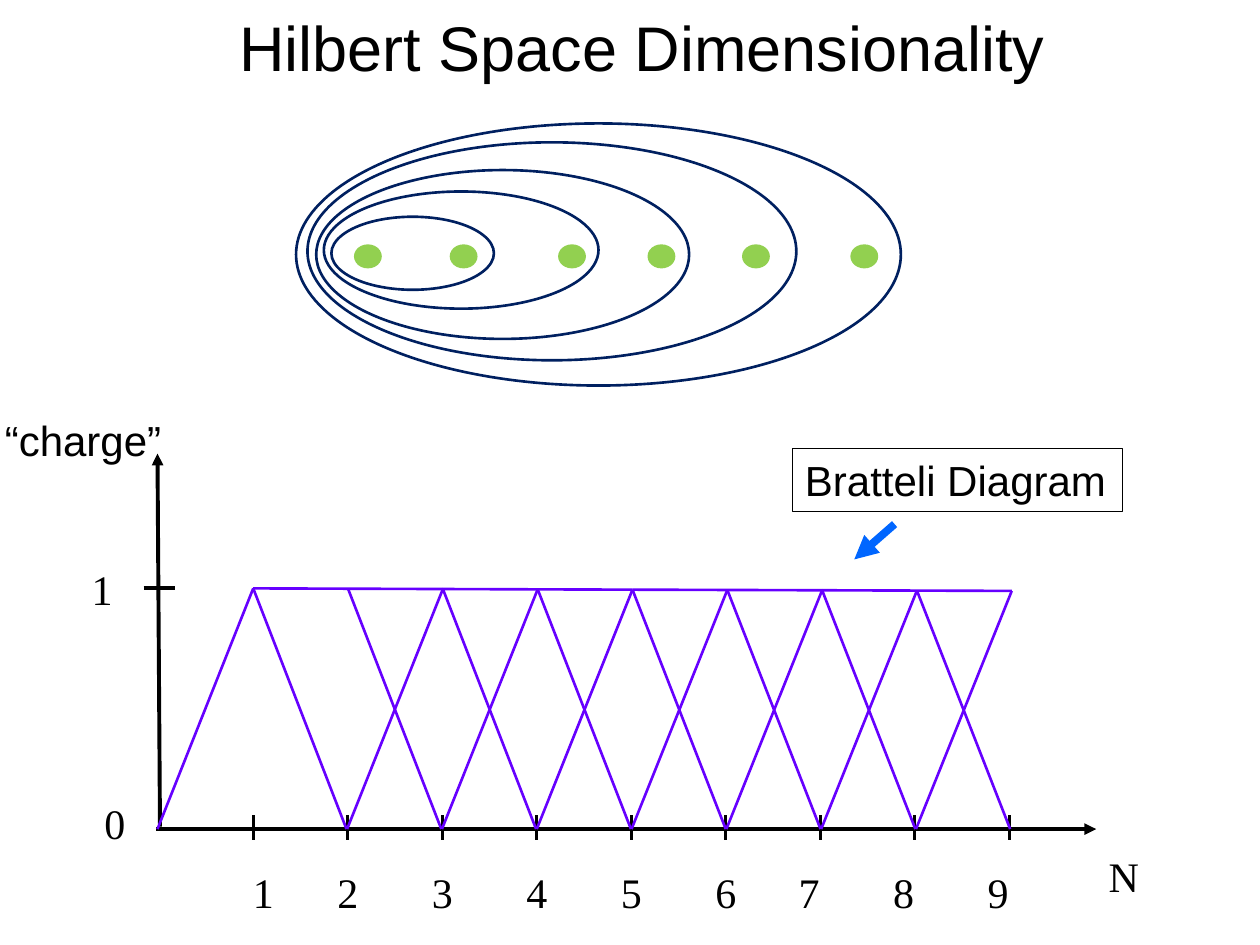
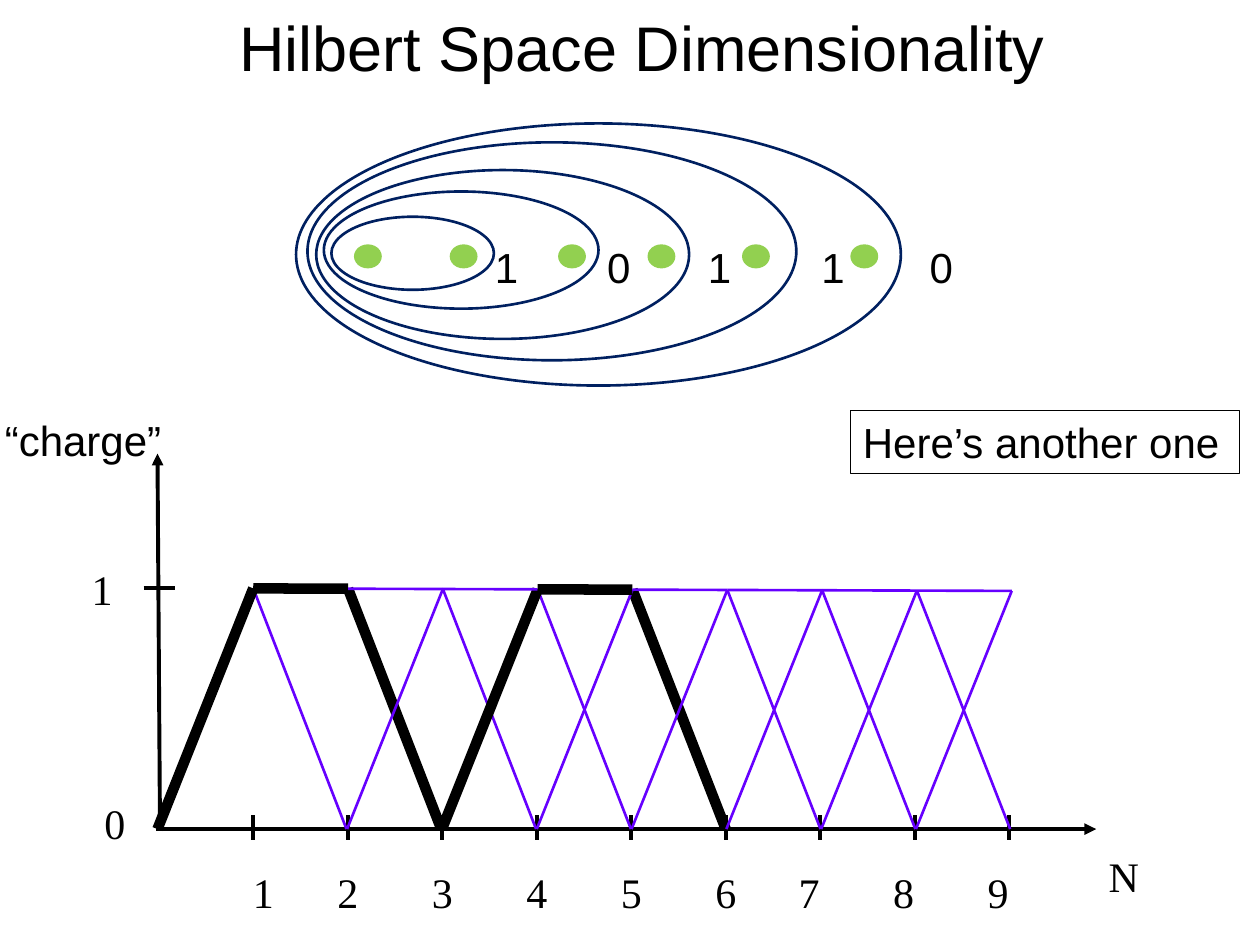
from dataclasses import dataclass

from lxml.etree import SubElement
from pptx import Presentation
from pptx.dml.color import RGBColor
from pptx.enum.shapes import MSO_CONNECTOR, MSO_SHAPE
from pptx.enum.text import MSO_ANCHOR, MSO_AUTO_SIZE, PP_ALIGN
from pptx.oxml.ns import qn
from pptx.util import Inches, Pt


@dataclass(frozen=True)
class Theme:
    ink: str = "000000"
    edge: str = "6600FF"
    ring: str = "002060"
    dot: str = "92D050"
    arrow: str = "0066FF"
    sans: str = "Arial"
    serif: str = "Times New Roman"
    title: int = 36
    text: int = 24
    thin: float = 1.5
    axis: float = 2.25
    bold: float = 6


# Lattice of the diagram: column 1 starts at LEFT, column 9 ends SPAN later
LEFT, SPAN, COLS = 2.01, 6.02, 9
TOP, BASE = 4.67, 6.58
RUN = 0.75
DIGITS = (0.67, 1.42, 2.17, 2.92, 3.67, 4.33, 5.08, 5.83)
DOTS = (2.82, 3.58, 4.44, 5.15, 5.9, 6.76)
RINGS = (
    (2.63, 1.72, 1.29, 0.58),
    (2.57, 1.52, 2.18, 0.93),
    (2.35, 0.98, 4.8, 2.08),
    (2.44, 1.13, 3.88, 1.73),
    (2.51, 1.35, 2.96, 1.34),
)


def node(col):
    """Upper lattice point of a column; the row sinks slightly to the right."""
    part = (col - 1) / (COLS - 1)
    return LEFT + SPAN * part, TOP + 0.02 * part


class Deck:
    def __init__(self, theme):
        self.theme = theme
        self.prs = Presentation()
        self.prs.slide_width, self.prs.slide_height = Inches(10), Inches(7.5)
        self.slide = None

    def start(self, title):
        self.slide = self.prs.slides.add_slide(self.prs.slide_layouts[5])
        head = self.slide.shapes.title
        head.left, head.top = Inches(1.77), Inches(0.01)
        head.width, head.height = Inches(6.65), Inches(0.71)
        self.fill_text(head.text_frame, title, self.theme.sans, self.theme.title)
        head.text_frame.vertical_anchor = MSO_ANCHOR.MIDDLE
        head.text_frame.paragraphs[0].alignment = PP_ALIGN.CENTER

    def fill_text(self, frame, text, face, size):
        frame.word_wrap = False
        frame.text = text
        for run in frame.paragraphs[0].runs:
            run.font.name, run.font.size = face, Pt(size)
            run.font.color.rgb = RGBColor.from_string(self.theme.ink)

    def group(self):
        return self.slide.shapes.add_group_shape()

    def label(self, text, x, y, w, h=0.5, face=None, home=None, frame=False):
        shapes = (home or self.slide).shapes
        box = shapes.add_textbox(Inches(x), Inches(y), Inches(w), Inches(h))
        self.fill_text(box.text_frame, text, face or self.theme.sans, self.theme.text)
        box.text_frame.auto_size = MSO_AUTO_SIZE.SHAPE_TO_FIT_TEXT
        if frame:
            box.line.color.rgb = RGBColor.from_string(self.theme.ink)
            box.line.width = Pt(0.75)
        return box

    def line(self, start, end, color=None, width=None, arrow=False):
        spots = [Inches(v) for v in (*start, *end)]
        line = self.slide.shapes.add_connector(MSO_CONNECTOR.STRAIGHT, *spots)
        line.line.color.rgb = RGBColor.from_string(color or self.theme.ink)
        line.line.width = Pt(width or self.theme.axis)
        props = line._element.spPr
        if arrow:
            SubElement(props.find(qn("a:ln")), qn("a:tailEnd"), type="triangle")
        SubElement(props, qn("a:effectLst"))

    def oval(self, home, x, y, w, h, color, solid=False):
        oval = home.shapes.add_shape(
            MSO_SHAPE.OVAL, Inches(x), Inches(y), Inches(w), Inches(h))
        oval.shadow.inherit = False
        oval.line.color.rgb = RGBColor.from_string(color)
        oval.line.width = Pt(self.theme.thin)
        if solid:
            oval.fill.solid()
            oval.fill.fore_color.rgb = RGBColor.from_string(color)
        else:
            oval.fill.background()

    def rings(self):
        home = self.group()
        for x in DOTS:
            self.oval(home, x, 1.95, 0.2, 0.17, self.theme.dot, solid=True)
        for ring in RINGS:
            self.oval(home, *ring, self.theme.ring)

    def axes(self, width):
        serif = self.theme.serif
        self.line((1.24, BASE), (8.7, BASE), arrow=True)
        self.line((1.27, 6.56), (1.25, 3.6), arrow=True)
        self.line((1.14, TOP), (1.39, TOP))
        for i in range(COLS):
            x = LEFT + RUN * i
            self.line((x, 6.47), (x, 6.67), width=width)
        self.label("N", 8.7, 6.7, 0.44, face=serif)
        self.label("0", 0.73, 6.28, 0.37, face=serif)
        self.label("1", 0.63, 4.42, 0.37, face=serif)
        self.label("“charge”", -0.06, 3.24, 1.46)

        # Column numbers sit on tab stops
        numbers = "\t".join(str(i + 1) for i in range(COLS))
        row = self.label(numbers, 1.91, 6.83, 6.2, face=serif)
        row.text_frame.word_wrap = True
        para = row.text_frame.paragraphs[0]
        stops = SubElement(para._p.get_or_add_pPr(), qn("a:tabLst"))
        for stop in DIGITS:
            SubElement(stops, qn("a:tab"), pos=str(Inches(stop)), algn="l")

    def lattice(self, flats, route=()):
        """Draw all edges; those on the route of charges are bold."""
        steps = {(i, *pair) for i, pair in enumerate(zip(route, route[1:]))}

        def edge(start, end, step):
            if step in steps:
                self.line(start, end, width=self.theme.bold)
            else:
                self.line(start, end, self.theme.edge, self.theme.thin)

        for col in range(1, COLS):
            x, y = node(col)
            edge((x, y), (x + RUN - 0.01, BASE), (col, 1, 0))
        for col in (1, *range(3, COLS + 1)):
            x, y = node(col)
            edge((x - RUN - 0.01, BASE), (x, y), (col - 1, 0, 1))
        for col, last in flats:
            edge(node(col), node(last), (col, 1, 1))


def main():
    deck = Deck(Theme())
    theme = deck.theme
    title = "Hilbert Space Dimensionality"

    # Slide 1: the full diagram
    deck.start(title)
    deck.axes(theme.thin)
    deck.lattice([(col, col + 2) for col in range(1, COLS, 2)])
    deck.rings()
    deck.label("Bratteli Diagram", 6.29, 3.56, 2.62, frame=True)
    deck.line((7.1, 4.16), (6.78, 4.44), theme.arrow, 4.5, arrow=True)

    # Slide 2: one route picked out, with its charges on the rings
    route = (0, 1, 1, 0, 1, 1, 0)
    deck.start(title)
    deck.axes(theme.axis)
    deck.lattice([(col, col + 1) for col in range(1, 7)] + [(7, 9)], route)
    deck.rings()
    marks = deck.group()
    for charge, x in zip("10110", (3.83, 4.72, 5.52, 6.42, 7.28)):
        deck.label(charge, x, 1.87, 0.34, 0.42, home=marks)
    note = deck.label("Here’s another one", 6.75, 3.26, 3.09, frame=True)
    note.text_frame.word_wrap = True

    deck.prs.save("out.pptx")


if __name__ == "__main__":
    main()
